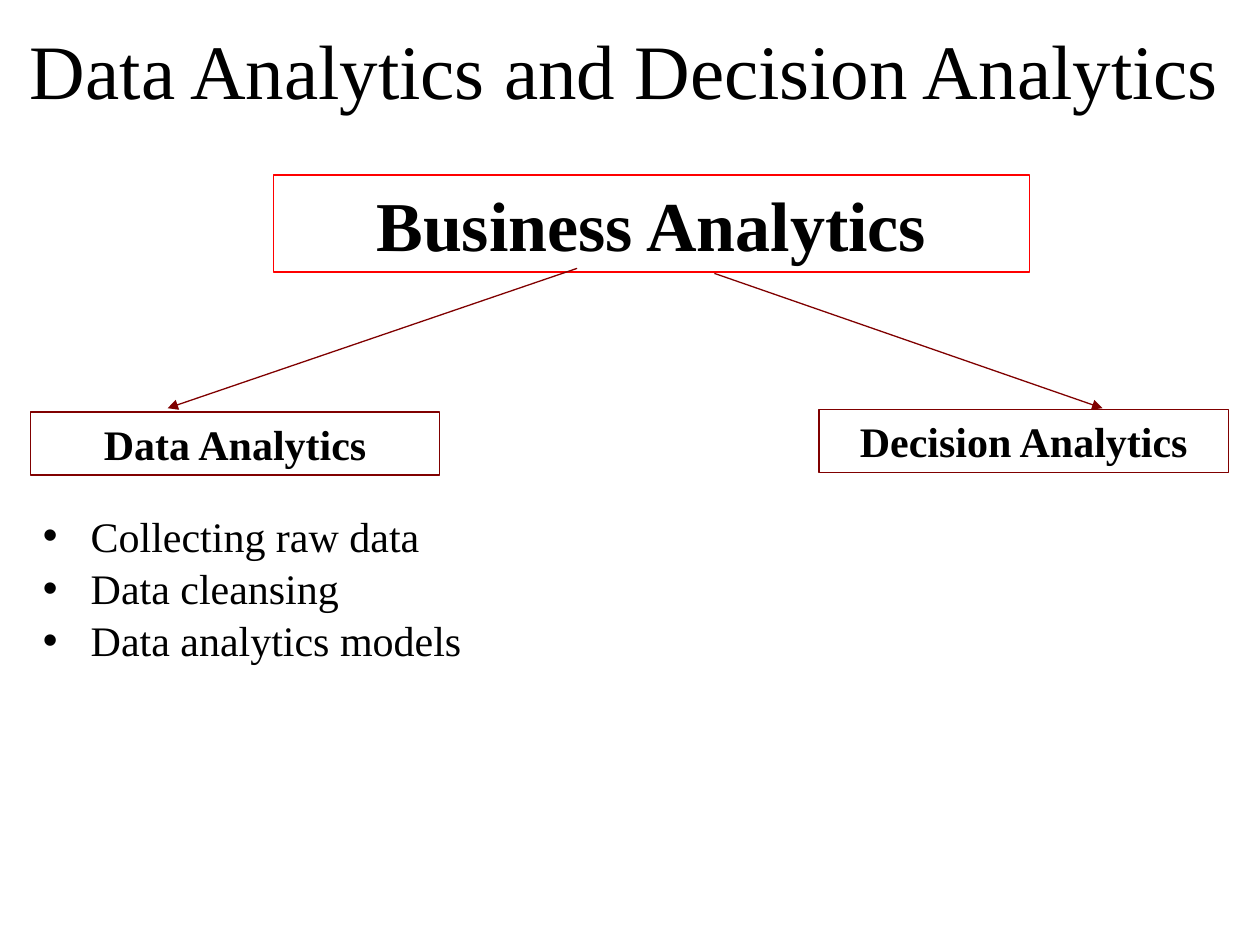
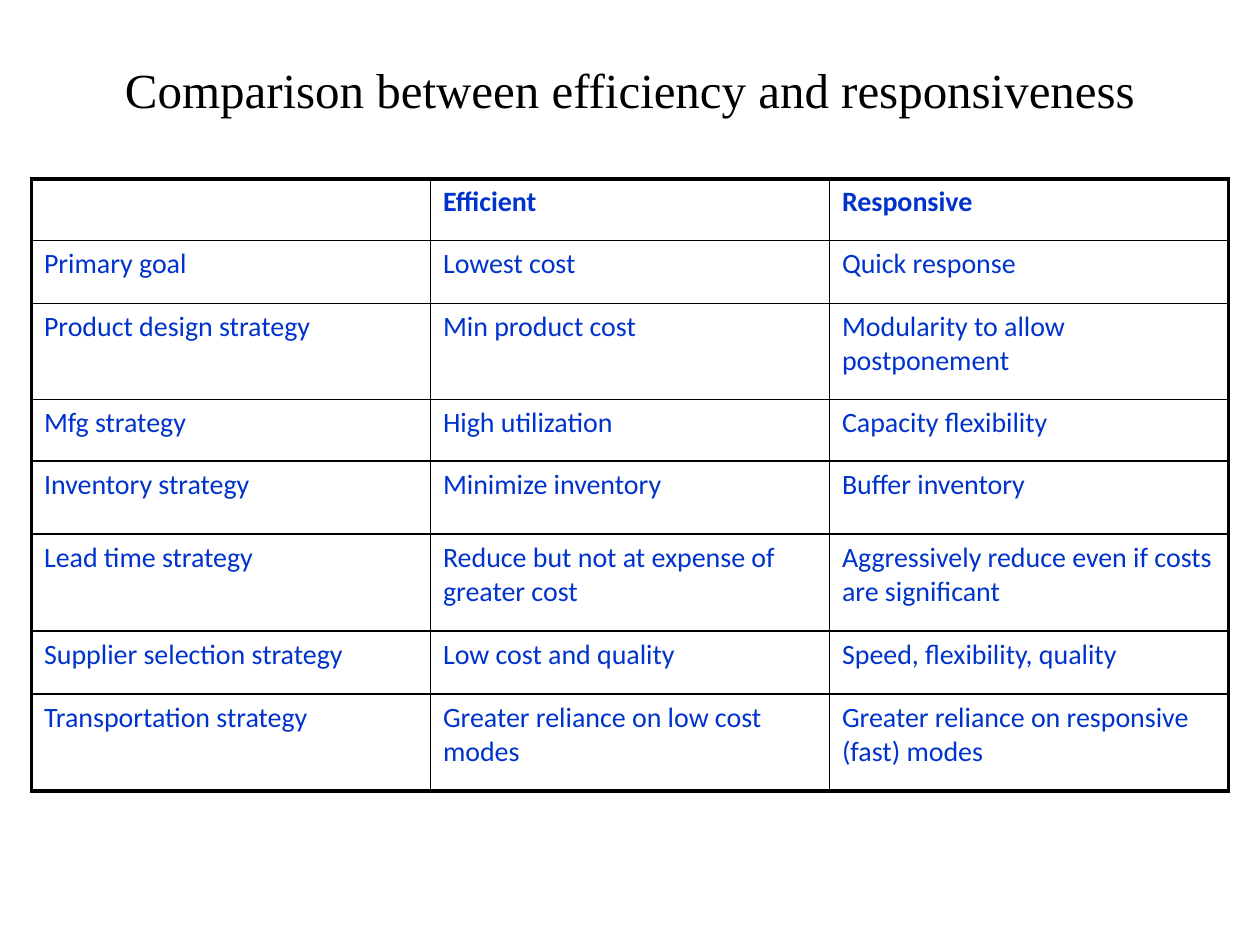
from dataclasses import dataclass

from pptx import Presentation
from pptx.dml.color import RGBColor
from pptx.enum.shapes import MSO_CONNECTOR, MSO_SHAPE
from pptx.enum.text import MSO_ANCHOR, MSO_AUTO_SIZE, PP_ALIGN
from pptx.oxml.ns import qn
from pptx.slide import Slide
from pptx.util import Emu, Inches, Pt
from lxml.etree import SubElement

BLACK = RGBColor(0x00, 0x00, 0x00)
RED = RGBColor(0xFF, 0x00, 0x00)
MAROON = RGBColor(0x80, 0x00, 0x00)
BLUE = RGBColor(0x00, 0x33, 0xCC)
SERIF = "Times New Roman"
SANS = "Calibri"
THIN, THICK = Pt(1), Pt(2.25)
DIAGRAM_LINE = Pt(0.75)
TITLE_AND_CONTENT, TITLE_ONLY = 1, 5


@dataclass
class Area:
    """A rectangle on the page, in inches."""
    left: float
    top: float
    width: float
    height: float

    def lengths(self) -> tuple[Emu, ...]:
        """Return left, top, width and height as lengths."""
        return tuple(Inches(n) for n in (self.left, self.top, self.width, self.height))


@dataclass
class LabelBox:
    """An outlined box with a bold label."""
    text: str
    area: Area
    size: float
    line_color: RGBColor


@dataclass
class Arrow:
    """An arrow between two points, in inches."""
    start: tuple[float, float]
    end: tuple[float, float]


BOXES = [
    LabelBox("Business Analytics", Area(2.17, 1.39, 6, 0.77), 40, RED),
    LabelBox("Data Analytics", Area(0.24, 3.27, 3.25, 0.5), 24, MAROON),
    LabelBox("Decision Analytics", Area(6.5, 3.25, 3.25, 0.5), 24, MAROON),
]
ARROWS = [Arrow((4.58, 2.13), (1.33, 3.24)), Arrow((5.67, 2.17), (8.75, 3.24))]
DATA_STEPS = ["Collecting raw data", "Data cleansing", "Data analytics models"]
COMPARISON = [
    (0.49, "", "Efficient", "Responsive"),
    (0.5, "Primary goal", "Lowest cost", "Quick response"),
    (0.76, "Product design strategy", "Min product cost", "Modularity to allow postponement"),
    (0.49, "Mfg strategy", "High utilization", "Capacity flexibility"),
    (0.58, "Inventory strategy", "Minimize inventory", "Buffer inventory"),
    (0.77, "Lead time strategy", "Reduce but not at expense of greater cost",
     "Aggressively reduce even if costs are significant"),
    (0.5, "Supplier selection strategy", "Low cost and quality", "Speed, flexibility, quality"),
    (0.77, "Transportation strategy", "Greater reliance on low cost modes",
     "Greater reliance on responsive (fast) modes"),
]


def write_text(frame, *lines: str, size: float, font: str = SERIF, color: RGBColor = BLACK,
               bold: bool = False, align: PP_ALIGN = PP_ALIGN.LEFT,
               space_before: float = 0) -> None:
    """Fill a text frame with one paragraph per line, all in one format."""
    for index, line in enumerate(lines):
        para = frame.add_paragraph() if index else frame.paragraphs[0]
        para.alignment = align
        para.space_before = Pt(space_before)
        span = para.add_run()
        span.text = line
        span.font.size = Pt(size)
        span.font.name = font
        span.font.bold = bold
        span.font.color.rgb = color


def place(shape, area: Area) -> None:
    """Move a shape to an area."""
    shape.left, shape.top, shape.width, shape.height = area.lengths()


def add_page(deck, layout: int, title: str, area: Area, size: float) -> Slide:
    """Add a slide with a centred serif title."""
    page = deck.slides.add_slide(deck.slide_layouts[layout])
    place(page.shapes.title, area)
    frame = page.shapes.title.text_frame
    frame.auto_size = MSO_AUTO_SIZE.NONE
    frame.vertical_anchor = MSO_ANCHOR.MIDDLE
    write_text(frame, title, size=size, align=PP_ALIGN.CENTER)
    return page


def draw_box(page: Slide, label: LabelBox) -> None:
    """Draw an unfilled rectangle with its label."""
    box = page.shapes.add_shape(MSO_SHAPE.RECTANGLE, *label.area.lengths())
    box.shadow.inherit = False
    box.fill.background()
    box.line.color.rgb = label.line_color
    box.line.width = DIAGRAM_LINE
    frame = box.text_frame
    frame.word_wrap = True
    frame.vertical_anchor = MSO_ANCHOR.TOP
    write_text(frame, label.text, size=label.size, bold=True, align=PP_ALIGN.CENTER)


def draw_arrow(page: Slide, arrow: Arrow) -> None:
    """Draw a straight line with a triangle at its end."""
    points = [Inches(n) for n in arrow.start + arrow.end]
    connector = page.shapes.add_connector(MSO_CONNECTOR.STRAIGHT, *points)
    connector.line.color.rgb = MAROON
    connector.line.width = DIAGRAM_LINE
    SubElement(connector.line._get_or_add_ln(), qn("a:tailEnd"), type="triangle")
    SubElement(connector._element.spPr, qn("a:effectLst"))


def fill_list(body, lines: list[str], area: Area) -> None:
    """Place the body placeholder and fill it with a bulleted list."""
    place(body, area)
    frame = body.text_frame
    frame.auto_size = MSO_AUTO_SIZE.NONE
    frame.vertical_anchor = MSO_ANCHOR.TOP
    write_text(frame, *lines, size=24, space_before=1)
    for para in frame.paragraphs:
        properties = para._p.get_or_add_pPr()
        properties.set("marL", str(Inches(0.38)))
        properties.set("indent", str(-Inches(0.38)))
        SubElement(properties, qn("a:buChar"), char="•")


def set_borders(cell, widths: dict[str, Emu]) -> None:
    """Give a cell black borders, one width per side."""
    properties = cell._tc.get_or_add_tcPr()
    for side, width in widths.items():
        line = SubElement(properties, qn(f"a:ln{side}"), w=str(width))
        fill = SubElement(line, qn("a:solidFill"))
        SubElement(fill, qn("a:srgbClr"), val=str(BLACK))


def draw_comparison(page: Slide, area: Area) -> None:
    """Draw the comparison table with a thick outer frame."""
    row_count, column_count = len(COMPARISON), len(COMPARISON[0]) - 1
    table = page.shapes.add_table(row_count, column_count, *area.lengths()).table
    table.first_row = table.horz_banding = False
    for row, (height, *texts) in enumerate(COMPARISON):
        table.rows[row].height = Inches(height)
        for column, text in enumerate(texts):
            cell = table.cell(row, column)
            set_borders(cell, {
                "L": THICK if column == 0 else THIN,
                "R": THICK if column == column_count - 1 else THIN,
                "T": THICK if row == 0 else THIN,
                "B": THICK if row == row_count - 1 else THIN,
            })
            cell.fill.background()
            if text:
                write_text(cell.text_frame, text, size=16, font=SANS, color=BLUE, bold=row == 0)


def build_analytics(deck) -> None:
    """Build the slide that splits business analytics in two."""
    page = add_page(deck, TITLE_AND_CONTENT, "Data Analytics and Decision Analytics",
                    Area(0, -0.08, 9.92, 1.25), 44)
    for label in BOXES:
        draw_box(page, label)
    for arrow in ARROWS:
        draw_arrow(page, arrow)
    fill_list(page.placeholders[1], DATA_STEPS, Area(0.24, 4, 4.18, 1.31))


def build_comparison(deck) -> None:
    """Build the slide that compares the two strategies."""
    page = add_page(deck, TITLE_ONLY, "Comparison between efficiency and responsiveness",
                    Area(0.75, 0.08, 8.5, 1.25), 28)
    draw_comparison(page, Area(0.25, 1.42, 9.5, 4.86))


def main() -> None:
    """Build and save the deck."""
    deck = Presentation()
    deck.slide_width, deck.slide_height = Inches(10), Inches(7.5)
    build_analytics(deck)
    build_comparison(deck)
    deck.save("out.pptx")


main()
